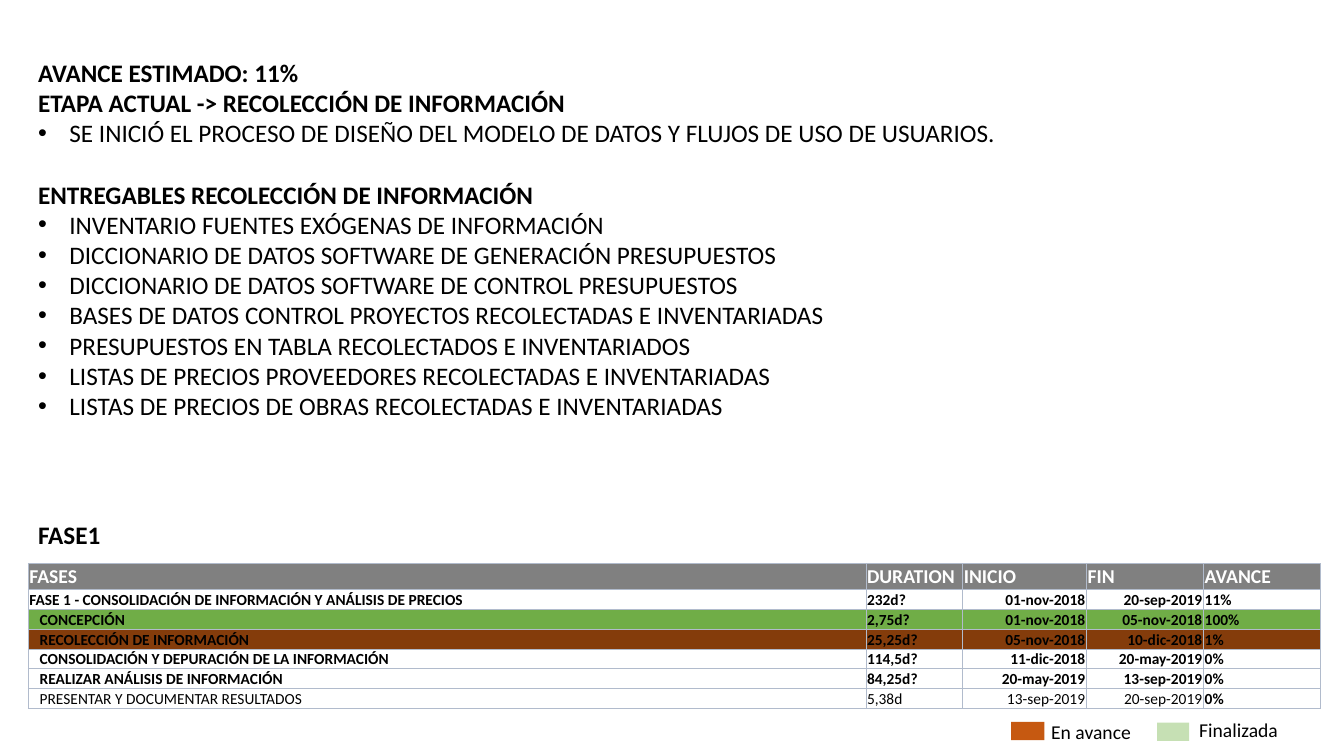
from dataclasses import dataclass
from typing import Any

from lxml.etree import SubElement
from pptx import Presentation
from pptx.dml.color import RGBColor
from pptx.enum.shapes import MSO_SHAPE as Preset
from pptx.enum.text import MSO_ANCHOR as Anchor, MSO_AUTO_SIZE as AutoSize, PP_ALIGN as Align
from pptx.oxml.ns import qn
from pptx.slide import Slide
from pptx.util import Cm, Pt

BLACK = RGBColor(0x00, 0x00, 0x00)
WHITE = RGBColor(0xFF, 0xFF, 0xFF)
GREY = RGBColor(0x80, 0x80, 0x80)
GREEN = RGBColor(0x70, 0xAD, 0x47)
BROWN = RGBColor(0x84, 0x3C, 0x0B)
ORANGE = RGBColor(0xC6, 0x59, 0x11)
PALE_GREEN = RGBColor(0xC6, 0xE0, 0xB4)
BORDER = RGBColor(0xB1, 0xBB, 0xCC)

TEXT_FORMAT = {"name": "Calibri", "size": Pt(18), "bold": False}
HEADING_FORMAT = TEXT_FORMAT | {"bold": True}
LEGEND_FORMAT = TEXT_FORMAT | {"size": Pt(14)}
HEADER_FORMAT = HEADING_FORMAT | {"size": Pt(14)}
ROW_FORMAT = HEADING_FORMAT | {"size": Pt(11)}
CELL_FORMAT = {"margin_left": Cm(0.03), "margin_right": Cm(0.03), "margin_top": Cm(0.03),
               "margin_bottom": Cm(0), "vertical_anchor": Anchor.MIDDLE}

LEFT = 0.71
HEADER_HEIGHT = 0.66
ROW_HEIGHT = 0.49
TASK_INDENT = Cm(0.29)
BULLET_INDENT = Cm(0.79)
COLUMN_WIDTHS = (21.11, 2.44, 3.12, 2.95, 2.95)
DATE_COLUMNS = (2, 3)


@dataclass
class Box:
    left: float
    top: float
    width: float
    height: float

    def lengths(self) -> tuple[Cm, Cm, Cm, Cm]:
        return Cm(self.left), Cm(self.top), Cm(self.width), Cm(self.height)


@dataclass
class Section:
    headings: tuple[str, ...]
    bullets: tuple[str, ...]


@dataclass
class PhaseRow:
    values: tuple[str, ...]
    fill: RGBColor = WHITE
    is_task: bool = True
    bold: bool = True


@dataclass
class LegendItem:
    label: str
    color: RGBColor
    swatch: Box
    label_box: Box


SECTIONS = (
    Section(("AVANCE ESTIMADO: 11%", "ETAPA ACTUAL -> RECOLECCIÓN DE INFORMACIÓN"),
            ("SE INICIÓ EL PROCESO DE DISEÑO DEL MODELO DE DATOS Y FLUJOS DE USO DE USUARIOS.",)),
    Section(("ENTREGABLES RECOLECCIÓN DE INFORMACIÓN",),
            ("INVENTARIO FUENTES EXÓGENAS DE INFORMACIÓN",
             "DICCIONARIO DE DATOS SOFTWARE DE GENERACIÓN PRESUPUESTOS",
             "DICCIONARIO DE DATOS SOFTWARE DE CONTROL PRESUPUESTOS",
             "BASES DE DATOS CONTROL PROYECTOS RECOLECTADAS E INVENTARIADAS",
             "PRESUPUESTOS EN TABLA RECOLECTADOS E INVENTARIADOS",
             "LISTAS DE PRECIOS PROVEEDORES RECOLECTADAS E INVENTARIADAS",
             "LISTAS DE PRECIOS DE OBRAS RECOLECTADAS E INVENTARIADAS")),
)

HEADER = ("FASES", "DURATION", "INICIO", "FIN", "AVANCE")
PHASES = (
    PhaseRow(("FASE 1 - CONSOLIDACIÓN DE INFORMACIÓN Y ANÁLISIS DE PRECIOS",
              "232d?", "01-nov-2018", "20-sep-2019", "11%"), is_task=False),
    PhaseRow(("CONCEPCIÓN", "2,75d?", "01-nov-2018", "05-nov-2018", "100%"), GREEN),
    PhaseRow(("RECOLECCIÓN DE INFORMACIÓN", "25,25d?", "05-nov-2018", "10-dic-2018", "1%"), BROWN),
    PhaseRow(("CONSOLIDACIÓN Y DEPURACIÓN DE LA INFORMACIÓN",
              "114,5d?", "11-dic-2018", "20-may-2019", "0%")),
    PhaseRow(("REALIZAR ANÁLISIS DE INFORMACIÓN", "84,25d?", "20-may-2019", "13-sep-2019", "0%")),
    PhaseRow(("PRESENTAR Y DOCUMENTAR RESULTADOS", "5,38d", "13-sep-2019", "20-sep-2019", "0%"),
             bold=False),
)

LEGEND = (
    LegendItem("En avance", ORANGE, Box(25.48, 18.19, 0.84, 0.46), Box(26.24, 18.01, 2.54, 0.86)),
    LegendItem("Finalizada", PALE_GREEN, Box(29.16, 18.21, 0.81, 0.46), Box(29.97, 17.96, 2.59, 0.86)),
)


def apply_format(target: Any, values: dict[str, Any]) -> None:
    for name, value in values.items():
        setattr(target, name, value)


def write(paragraph: Any, text: str, values: dict[str, Any], color: RGBColor = BLACK) -> None:
    run = paragraph.add_run()
    run.text = text
    apply_format(run.font, values)
    run.font.color.rgb = color


def add_bullet(paragraph: Any) -> None:
    properties = paragraph._p.get_or_add_pPr()
    properties.set("marL", str(BULLET_INDENT))
    properties.set("indent", str(-BULLET_INDENT))
    SubElement(properties, qn("a:buFont"), typeface="Arial")
    SubElement(properties, qn("a:buChar"), char="•")


def add_frame(slide: Slide, box: Box, wrap: bool = True) -> Any:
    frame = slide.shapes.add_textbox(*box.lengths()).text_frame
    apply_format(frame, {"word_wrap": wrap, "auto_size": AutoSize.SHAPE_TO_FIT_TEXT})
    return frame


def add_label(slide: Slide, box: Box, text: str, values: dict[str, Any], wrap: bool = True) -> None:
    write(add_frame(slide, box, wrap).paragraphs[0], text, values)


def add_summary(slide: Slide, box: Box) -> None:
    frame = add_frame(slide, box)
    paragraph = frame.paragraphs[0]
    for section_index, section in enumerate(SECTIONS):
        for line_index, text in enumerate(section.headings + section.bullets):
            if section_index or line_index:
                paragraph = frame.add_paragraph()
            if section_index and not line_index:
                paragraph.space_before = Pt(22)
            is_heading = line_index < len(section.headings)
            if not is_heading:
                add_bullet(paragraph)
            write(paragraph, text, HEADING_FORMAT if is_heading else TEXT_FORMAT)


def style_cell(cell: Any, fill: RGBColor) -> None:
    apply_format(cell, CELL_FORMAT)
    properties = cell._tc.get_or_add_tcPr()
    for side in ("a:lnL", "a:lnR", "a:lnT", "a:lnB"):
        line = SubElement(properties, qn(side), w=str(Pt(0.5)))
        SubElement(SubElement(line, qn("a:solidFill")), qn("a:srgbClr"), val=str(BORDER))
    cell.fill.solid()
    cell.fill.fore_color.rgb = fill


def add_phase_table(slide: Slide, box: Box) -> None:
    table = slide.shapes.add_table(len(PHASES) + 1, len(HEADER), *box.lengths()).table
    for column, width in zip(table.columns, COLUMN_WIDTHS):
        column.width = Cm(width)
    for index, row in enumerate(table.rows):
        row.height = Cm(ROW_HEIGHT if index else HEADER_HEIGHT)
    for column, text in enumerate(HEADER):
        cell = table.cell(0, column)
        style_cell(cell, GREY)
        cell.margin_bottom = Cm(0.03)
        write(cell.text_frame.paragraphs[0], text, HEADER_FORMAT, WHITE)
    for index, phase in enumerate(PHASES, start=1):
        for column, text in enumerate(phase.values):
            cell = table.cell(index, column)
            style_cell(cell, phase.fill)
            if phase.is_task and column == 0:
                cell.margin_left = TASK_INDENT
            paragraph = cell.text_frame.paragraphs[0]
            if column in DATE_COLUMNS:
                paragraph.alignment = Align.RIGHT
            is_progress = column == len(HEADER) - 1
            write(paragraph, text, ROW_FORMAT | {"bold": phase.bold or is_progress})


def add_legend_item(slide: Slide, item: LegendItem) -> None:
    swatch = slide.shapes.add_shape(Preset.RECTANGLE, *item.swatch.lengths())
    swatch.shadow.inherit = False
    swatch.fill.solid()
    swatch.fill.fore_color.rgb = item.color
    swatch.line.fill.background()
    add_label(slide, item.label_box, item.label, LEGEND_FORMAT)


def main() -> None:
    presentation = Presentation()
    apply_format(presentation, {"slide_width": Cm(33.87), "slide_height": Cm(19.05)})
    slide = presentation.slides.add_slide(presentation.slide_layouts[6])
    add_summary(slide, Box(LEFT, 1.32, 32.56, 9.5))
    add_phase_table(slide, Box(LEFT, 14.2, sum(COLUMN_WIDTHS), HEADER_HEIGHT + len(PHASES) * ROW_HEIGHT))
    add_label(slide, Box(LEFT, 12.95, 2.24, 1.02), "FASE1", HEADING_FORMAT, wrap=False)
    for item in LEGEND:
        add_legend_item(slide, item)
    presentation.save("out.pptx")


if __name__ == "__main__":
    main()
